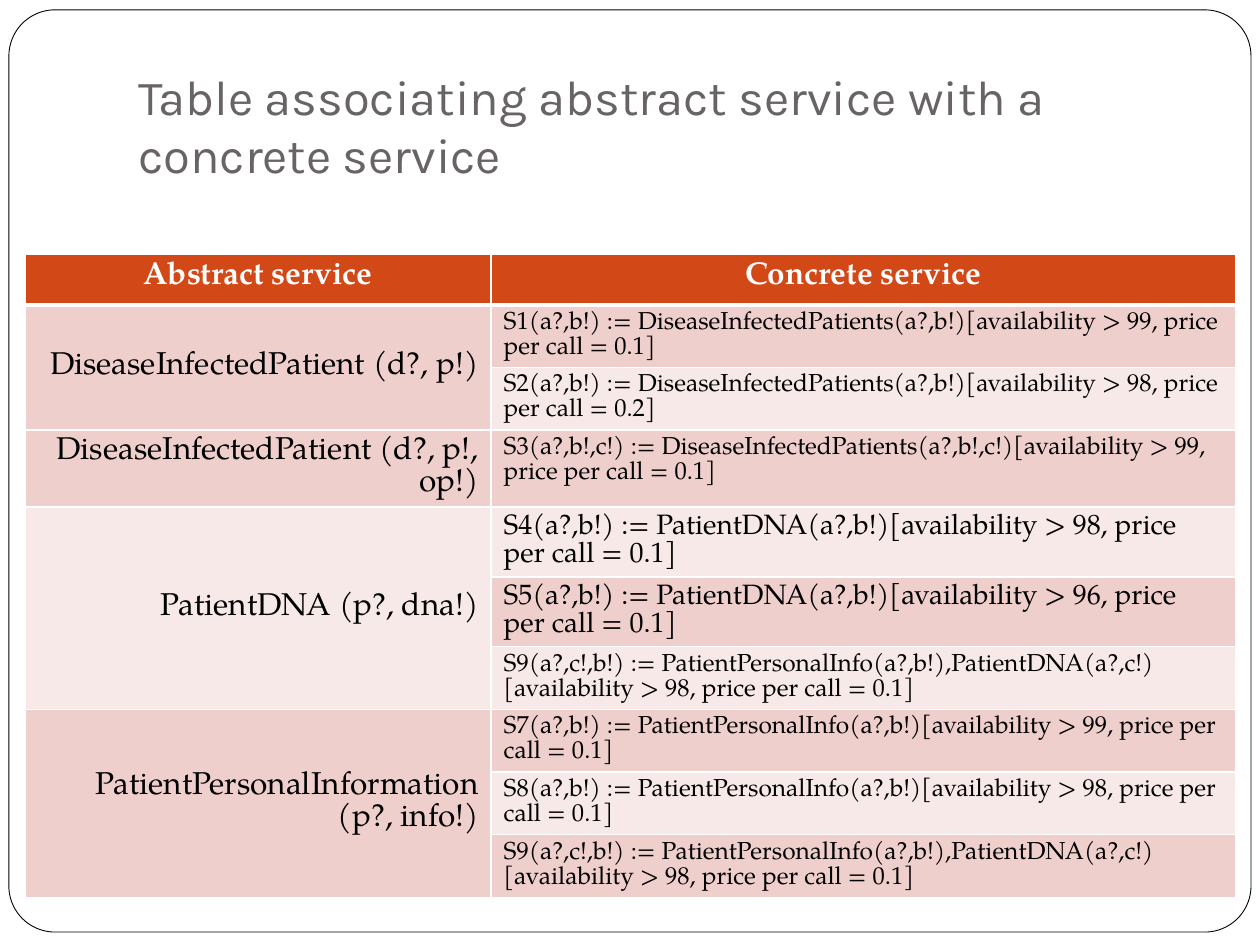
from pptx import Presentation
from pptx.dml.color import RGBColor
from pptx.enum.shapes import MSO_SHAPE
from pptx.enum.text import MSO_ANCHOR, PP_ALIGN
from pptx.oxml import parse_xml
from pptx.oxml.ns import nsdecls
from pptx.util import Cm, Pt

WHITE = RGBColor(0xFF, 0xFF, 0xFF)
BLACK = RGBColor(0, 0, 0)
GREY = RGBColor(0x69, 0x64, 0x64)
ORANGE = RGBColor(0xD3, 0x48, 0x17)
ROSE = RGBColor(0xEF, 0xCF, 0xCC)
PALE = RGBColor(0xF7, 0xE9, 0xE8)

SERIF = "TeX Gyre Pagella"
HEADS = ("Abstract service", "Concrete service")
# Each abstract service with its concrete services and their text sizes
GROUPS = [
    ("DiseaseInfectedPatient (d?, p!)", MSO_ANCHOR.MIDDLE, [
        ("S1(a?,b!) := DiseaseInfectedPatients(a?,b!)[availability > 99, price per call = 0.1]", 14),
        ("S2(a?,b!) := DiseaseInfectedPatients(a?,b!)[availability > 98, price per call = 0.2]", 14),
    ]),
    ("DiseaseInfectedPatient (d?, p!, op!)", MSO_ANCHOR.TOP, [
        ("S3(a?,b!,c!) := DiseaseInfectedPatients(a?,b!,c!)[availability > 99, price per call = 0.1]", 14),
    ]),
    ("PatientDNA (p?, dna!)", MSO_ANCHOR.MIDDLE, [
        ("S4(a?,b!) := PatientDNA(a?,b!)[availability > 98, price per call = 0.1]", 16),
        ("S5(a?,b!) := PatientDNA(a?,b!)[availability > 96, price per call = 0.1]", 16),
        ("S9(a?,c!,b!) := PatientPersonalInfo(a?,b!),PatientDNA(a?,c!)[availability > 98, price per call = 0.1]", 14),
    ]),
    ("PatientPersonalInformation (p?, info!)", MSO_ANCHOR.MIDDLE, [
        ("S7(a?,b!) := PatientPersonalInfo(a?,b!)[availability > 99, price per call = 0.1]", 14),
        ("S8(a?,b!) := PatientPersonalInfo(a?,b!)[availability > 98, price per call = 0.1]", 14),
        ("S9(a?,c!,b!) := PatientPersonalInfo(a?,b!),PatientDNA(a?,c!)[availability > 98, price per call = 0.1]", 14),
    ]),
]


def write(frame, text, size=18, font=SERIF, color=BLACK, bold=False,
          align=PP_ALIGN.LEFT, pitch=1.02):
    """Write one paragraph; pitch is the line height in text sizes."""
    para = frame.paragraphs[0]
    para.alignment = align
    para.line_spacing = Pt(size * pitch)
    run = para.add_run()
    run.text = text
    run.font.size = Pt(size)
    run.font.name = font
    run.font.bold = bold
    run.font.color.rgb = color


def edge(cell, low=1):
    """Give a cell white 1 pt borders, with the bottom one `low` points wide."""
    props = cell._tc.get_or_add_tcPr()
    for side, width in (("L", 1), ("R", 1), ("T", 1), ("B", low)):
        props.append(parse_xml(
            f'<a:ln{side} {nsdecls("a")} w="{Pt(width)}"><a:solidFill>'
            f'<a:srgbClr val="{WHITE}"/></a:solidFill></a:ln{side}>'))


def paint(cell, color, low=1):
    edge(cell, low)
    cell.fill.solid()
    cell.fill.fore_color.rgb = color


def add_frame(slide, left, top, width, height):
    frame = slide.shapes.add_shape(MSO_SHAPE.ROUNDED_RECTANGLE,
                                   left, top, width, height)
    frame.adjustments[0] = 0.05
    frame.shadow.inherit = False
    frame.fill.solid()
    frame.fill.fore_color.rgb = WHITE
    frame.line.color.rgb = BLACK
    frame.line.width = Pt(0.5)


def add_title(slide, left, top, width, height):
    frame = slide.shapes.add_textbox(left, top, width, height).text_frame
    frame.word_wrap = True
    frame.vertical_anchor = MSO_ANCHOR.BOTTOM
    frame.margin_bottom = Cm(0.25)
    write(frame, "Table associating abstract service with a concrete service",
          size=28, font="Karla", color=GREY, pitch=1.17)


def add_services(slide, left, top, width, height):
    count = 1 + sum(len(items) for _, _, items in GROUPS)
    table = slide.shapes.add_table(count, 2, left, top, width, height).table
    table.first_row = table.horz_banding = False
    table.columns[0].width = Cm(9.4)
    table.columns[1].width = width - Cm(9.4)

    for col, head in enumerate(HEADS):
        cell = table.cell(0, col)
        paint(cell, ORANGE, low=3)
        write(cell.text_frame, head, color=WHITE, bold=True,
              align=PP_ALIGN.CENTER)
    for row in range(1, count):
        for col in range(2):
            paint(table.cell(row, col), ROSE if row % 2 else PALE)

    row = 1
    for name, anchor, items in GROUPS:
        cell = table.cell(row, 0)
        if len(items) > 1:
            cell.merge(table.cell(row + len(items) - 1, 0))
        cell.vertical_anchor = anchor
        write(cell.text_frame, name, align=PP_ALIGN.RIGHT)
        for text, size in items:
            write(table.cell(row, 1).text_frame, text, size=size)
            row += 1


def main():
    deck = Presentation()
    deck.slide_width, deck.slide_height = Cm(25.4), Cm(19.05)
    slide = deck.slides.add_slide(deck.slide_layouts[6])
    add_frame(slide, Cm(0.18), Cm(0.2), Cm(25.04), Cm(18.59))
    add_title(slide, Cm(2.54), Cm(0.76), Cm(21.59), Cm(3.18))
    add_services(slide, Cm(0.5), Cm(5.13), Cm(24.41), Cm(10.16))
    deck.save("out.pptx")


if __name__ == "__main__":
    main()
